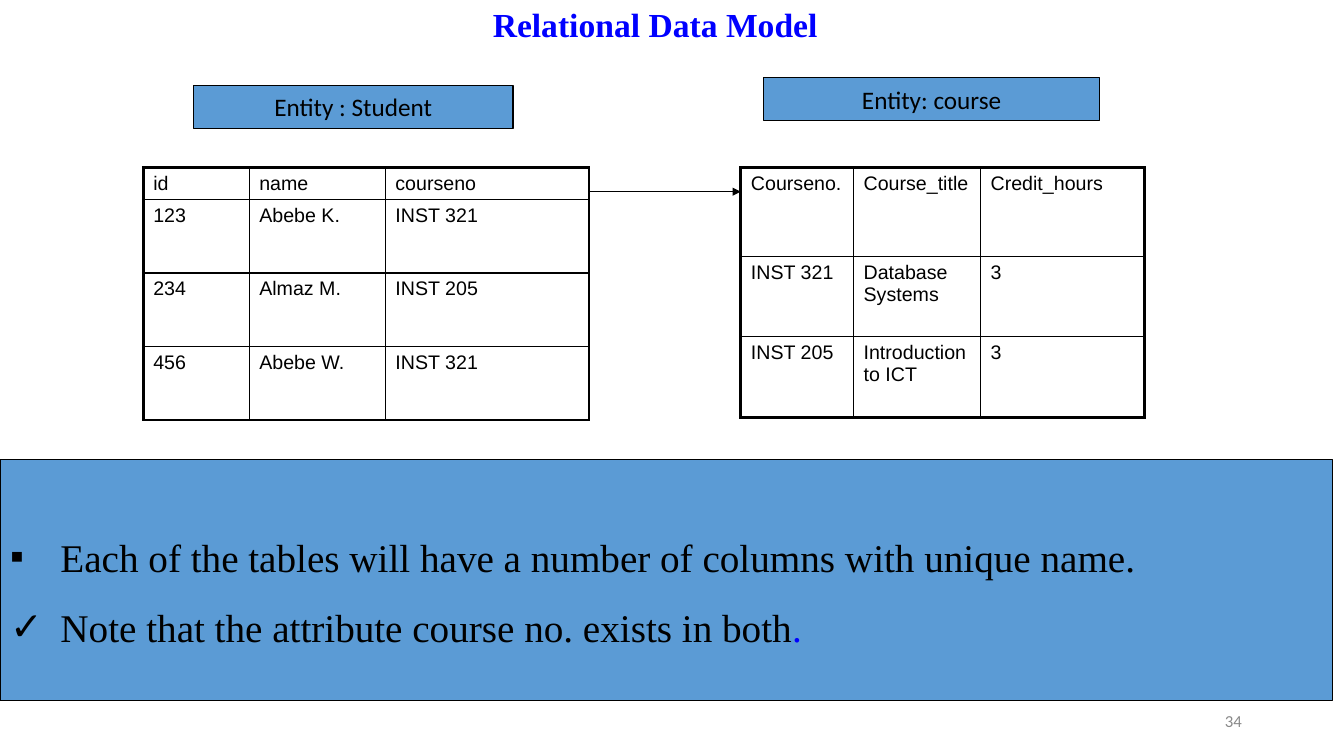
from lxml.etree import SubElement as Sub
from pptx import Presentation
from pptx.dml.color import RGBColor
from pptx.enum.shapes import MSO_CONNECTOR as Link, MSO_SHAPE as Shape
from pptx.enum.text import MSO_ANCHOR as Anchor, MSO_AUTO_SIZE as Auto, PP_ALIGN as Align
from pptx.oxml import parse_xml
from pptx.oxml.ns import nsdecls, qn
from pptx.util import Cm, Pt

BLACK = RGBColor(0x00, 0x00, 0x00)
BLUE = RGBColor(0x00, 0x00, 0xFF)
SKY = RGBColor(0x5B, 0x9B, 0xD5)
GREY = RGBColor(0x89, 0x89, 0x89)
SERIF, SANS, LABEL = "Times New Roman", "Arial", "Calibri"

TITLE = "Relational Data Model"
TABLES = [
    {"left": 3.61, "cols": [2.67, 3.43, 5.13], "rows": [0.79, 1.85, 1.85, 1.85],
     "cells": [("id", "name", "courseno"),
               ("123", "Abebe K.", "INST 321"),
               ("234", "Almaz M.", "INST 205"),
               ("456", "Abebe W.", "INST 321")]},
    {"left": 18.67, "cols": [2.84, 3.2, 4.14], "rows": [2.24, 2.03, 2.03],
     "cells": [("Courseno.", "Course_title", "Credit_hours"),
               ("INST 321", "Database Systems", "3"),
               ("INST 205", "Introduction to ICT", "3")]},
]
LABELS = [("Entity : Student", (4.88, 2.16, 8.05, 1.07)),
          ("Entity: course", (19.25, 1.96, 8.46, 1.07))]
NOTES = [("▪", ["Each of the tables will have a number of columns with unique name."]),
         ("✓", ["Note that the attribute course no. exists in both", "."])]
PAGE = "34"
TOP, LINK_Y = 4.22, 4.83
THICK, THIN = 2.25, 1


def place(shape, *box):
    """Move and size a shape in centimetres."""
    shape.left, shape.top, shape.width, shape.height = map(Cm, box)


def style(para, size, face, color, align=Align.LEFT, bold=False):
    """Format a whole paragraph."""
    para.alignment = align
    font = para.font
    font.size, font.name, font.bold = Pt(size), face, bold
    font.color.rgb = color


def paint(shape, width):
    """Give a shape the sky fill and a black outline."""
    shape.fill.solid()
    shape.fill.fore_color.rgb = SKY
    shape.line.color.rgb = BLACK
    shape.line.width = Pt(width)


def bullet(para, mark):
    """Set a hanging bullet on a paragraph."""
    props = para._p.get_or_add_pPr()
    props.set("marL", str(Cm(1.27)))
    props.set("indent", str(-Cm(1.27)))
    Sub(props, qn("a:buFont"), typeface=SANS)
    Sub(props, qn("a:buChar"), char=mark)


def border(cell, widths):
    """Draw the four cell borders, ordered left, right, top, bottom."""
    props = cell._tc.get_or_add_tcPr()
    for spot, (side, width) in enumerate(zip("LRTB", widths)):
        props.insert(spot, parse_xml(
            f'<a:ln{side} {nsdecls("a")} w="{Pt(width)}"><a:solidFill>'
            f'<a:srgbClr val="{BLACK}"/></a:solidFill></a:ln{side}>'))


def add_grid(slide, left, cols, rows, cells):
    """Add a table with a thick frame and thin inner lines."""
    frame = slide.shapes.add_table(len(rows), len(cols), Cm(left), Cm(TOP),
                                   Cm(sum(cols)), Cm(sum(rows)))
    table = frame.table
    table.first_row = table.horz_banding = False
    for col, width in zip(table.columns, cols):
        col.width = Cm(width)
    for r, (height, texts) in enumerate(zip(rows, cells)):
        table.rows[r].height = Cm(height)
        for c, text in enumerate(texts):
            cell = table.cell(r, c)
            cell.text = text
            cell.fill.background()
            style(cell.text_frame.paragraphs[0], 14, SANS, BLACK)
            edges = (c == 0, c == len(cols) - 1, r == 0, r == len(rows) - 1)
            border(cell, [THICK if edge else THIN for edge in edges])


def add_arrow(slide, start, end):
    """Link the two tables with an arrow."""
    line = slide.shapes.add_connector(Link.STRAIGHT, Cm(start), Cm(LINK_Y), Cm(end), Cm(LINK_Y))
    line.line.color.rgb = BLACK
    line.line.width = Pt(0.75)
    Sub(line.line._get_or_add_ln(), qn("a:tailEnd"), type="triangle")
    Sub(line._element.spPr, qn("a:effectLst"))


def add_label(slide, text, box):
    """Add an entity label."""
    label = slide.shapes.add_shape(Shape.RECTANGLE, *map(Cm, box))
    label.shadow.inherit = False
    paint(label, 0.75)
    frame = label.text_frame
    frame.text, frame.word_wrap = text, False
    frame.vertical_anchor = Anchor.MIDDLE
    style(frame.paragraphs[0], 18, LABEL, BLACK, Align.CENTER)


def fill_notes(body):
    """Fill the list panel."""
    place(body, 0, 11.58, 33.58, 6.07)
    paint(body, 1)
    frame = body.text_frame
    frame.auto_size, frame.word_wrap = Auto.NONE, False
    frame.vertical_anchor = Anchor.MIDDLE
    for i, (mark, parts) in enumerate(NOTES):
        para = frame.add_paragraph() if i else frame.paragraphs[0]
        bullet(para, mark)
        style(para, 28, SERIF, BLACK, Align.JUSTIFY)
        para.line_spacing, para.space_before = 1.5, Pt(0)
        for part in parts:
            run = para.add_run()
            run.text = part
        if len(parts) > 1:
            run.font.color.rgb = BLUE


def main():
    """Build the slide and save it."""
    deck = Presentation()
    deck.slide_width, deck.slide_height = Cm(33.87), Cm(19.05)
    slide = deck.slides.add_slide(deck.slide_layouts[1])

    title = slide.shapes.title
    place(title, 5.08, 0, 22.86, 1.19)
    title.text_frame.text = TITLE
    title.text_frame.auto_size = Auto.NONE
    title.text_frame.vertical_anchor = Anchor.MIDDLE
    style(title.text_frame.paragraphs[0], 24, SERIF, BLUE, Align.CENTER, True)
    fill_notes(slide.placeholders[1])

    for grid in TABLES:
        add_grid(slide, **grid)
    first, second = TABLES
    add_arrow(slide, first["left"] + sum(first["cols"]), second["left"])
    for text, box in LABELS:
        add_label(slide, text, box)

    page = slide.shapes.add_textbox(Cm(23.93), Cm(17.65), Cm(7.62), Cm(1.02)).text_frame
    page.text, page.word_wrap = PAGE, True
    page.vertical_anchor = Anchor.MIDDLE
    style(page.paragraphs[0], 12, LABEL, GREY, Align.RIGHT)

    deck.save("out.pptx")


if __name__ == "__main__":
    main()
